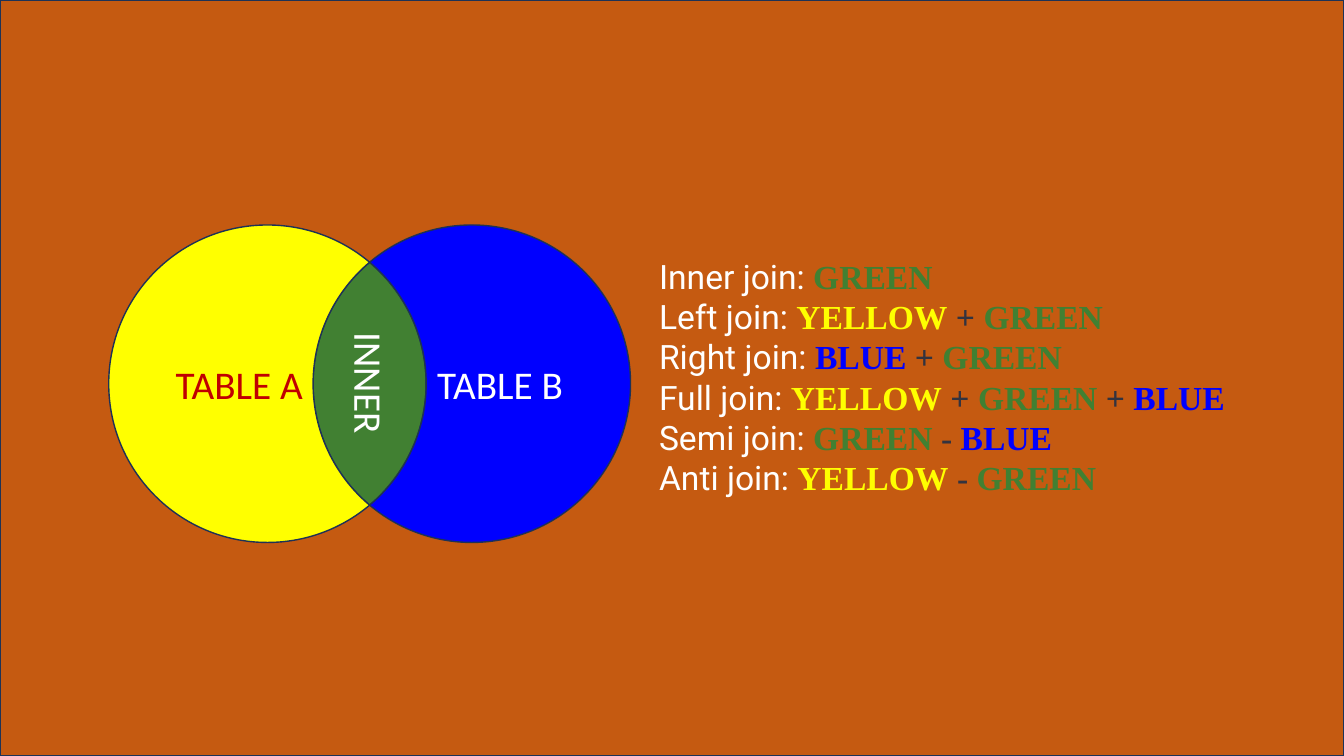
import math

import lxml.etree
import pptx
import pptx.dml.color
import pptx.enum.shapes
import pptx.enum.text
import pptx.oxml.ns
import pptx.util
from pptx.util import Cm

COLORS = {
    "backdrop": "C55A11",
    "outline": "1E3256",
    "sign": "33333F",
    "label": "FFFFFF",
    "table a": "C00000",
    "YELLOW": "FFFF00",
    "GREEN": "418032",
    "BLUE": "0000FF",
}
JOINS = [
    ("Inner join: ", "GREEN"),
    ("Left join: ", "YELLOW + GREEN"),
    ("Right join: ", "BLUE + GREEN"),
    ("Full join: ", "YELLOW + GREEN + BLUE"),
    ("Semi join: ", "GREEN - BLUE"),
    ("Anti join: ", "YELLOW - GREEN"),
]


def color(name):
    return pptx.dml.color.RGBColor.from_string(COLORS[name])


def style_shape(shape, fill):
    shape.shadow.inherit = False
    shape.fill.solid()
    shape.fill.fore_color.rgb = color(fill)
    shape.line.color.rgb = color("outline")
    shape.line.width = pptx.util.Pt(1)


def set_font(font, name, size, tint, bold=False):
    font.name = name
    font.size = pptx.util.Pt(size)
    font.bold = bold
    font.color.rgb = color(tint)


def add_backdrop(page, width, height):
    backdrop = page.shapes.add_shape(
        pptx.enum.shapes.MSO_SHAPE.RECTANGLE, 0, 0, width, height)
    style_shape(backdrop, "backdrop")


def arc(center, radius, start, end):
    """Bezier curves (two handles and an end, in cm) for an arc, split at quarter turns."""
    quarters = [angle for angle in range(0, 540, 90) if min(start, end) < angle < max(start, end)]
    stops = sorted([start, *quarters, end], reverse=end < start)
    curves = []
    for first, last in zip(stops, stops[1:]):
        a, b = math.radians(first), math.radians(last)
        reach = 4 / 3 * math.tan((b - a) / 4)
        points = [
            (math.cos(a) - reach * math.sin(a), math.sin(a) + reach * math.cos(a)),
            (math.cos(b) + reach * math.sin(b), math.sin(b) - reach * math.cos(b)),
            (math.cos(b), math.sin(b)),
        ]
        curves.append([(Cm(center[0] + radius * x), Cm(center[1] + radius * y))
                       for x, y in points])
    return curves


def add_region(page, curves, fill):
    """Closed outline whose straight segments are turned into the given curves."""
    ends = [curve[-1] for curve in curves]
    builder = page.shapes.build_freeform(*ends[-1])
    builder.add_line_segments(ends, close=True)
    region = builder.convert_to_shape()
    qn = pptx.oxml.ns.qn
    segments = list(region.element.iter(qn("a:lnTo")))
    for segment, handles in zip(segments, curves):
        segment.tag = qn("a:cubicBezTo")
        for position, (x, y) in enumerate(handles[:2]):
            handle = lxml.etree.Element(
                qn("a:pt"), x=str(x - region.left), y=str(y - region.top))
            segment.insert(position, handle)
    style_shape(region, fill)
    return region


def add_region_label(region, text, tint):
    frame = region.text_frame
    frame.word_wrap = True
    frame.vertical_anchor = pptx.enum.text.MSO_ANCHOR.MIDDLE
    para = frame.paragraphs[0]
    para.text = text
    para.alignment = pptx.enum.text.PP_ALIGN.CENTER
    set_font(para.font, "Calibri", 28, tint)


def add_text_box(page, left, top, width, height):
    box = page.shapes.add_textbox(Cm(left), Cm(top), Cm(width), Cm(height))
    box.text_frame.word_wrap = False
    box.text_frame.auto_size = pptx.enum.text.MSO_AUTO_SIZE.SHAPE_TO_FIT_TEXT
    return box


def add_venn(page, left, top, width, height):
    """Two overlapping circles, split into two crescents and a lens."""
    radius = height / 2
    middle = top + radius
    center_a = (left + radius, middle)
    center_b = (left + width - radius, middle)
    half = math.degrees(math.acos((center_b[0] - center_a[0]) / height))

    lens = arc(center_a, radius, -half, half) + arc(center_b, radius, 180 - half, 180 + half)
    crescent_a = (arc(center_a, radius, half, 360 - half)
                  + arc(center_b, radius, 180 + half, 180 - half))
    crescent_b = (arc(center_b, radius, 180 + half, 540 - half)
                  + arc(center_a, radius, half, -half))

    add_region(page, lens, "GREEN")
    add_region_label(add_region(page, crescent_a, "YELLOW"), "TABLE A", "table a")
    add_region_label(add_region(page, crescent_b, "BLUE"), "TABLE B", "label")

    label_width, label_height = 3.07, 1.45
    inner = add_text_box(page, left + (width - label_width) / 2,
                         middle - label_height / 2, label_width, label_height)
    inner.rotation = 90
    para = inner.text_frame.paragraphs[0]
    para.text = "INNER"
    set_font(para.font, "Calibri", 28, "label")


def add_join_list(page, left, top, width, height):
    frame = add_text_box(page, left, top, width, height).text_frame
    for index, (join, formula) in enumerate(JOINS):
        para = frame.add_paragraph() if index else frame.paragraphs[0]
        span = para.add_run()
        span.text = join
        set_font(span.font, "Roboto", 24, "label")
        for word in formula.split():
            is_sign = word in "+-"
            span = para.add_run()
            span.text = f" {word} " if is_sign else word
            set_font(span.font, "Times New Roman", 24, "sign" if is_sign else word, True)


def main():
    deck = pptx.Presentation()
    deck.slide_width, deck.slide_height = Cm(33.87), Cm(19.05)
    page = deck.slides.add_slide(deck.slide_layouts[6])
    add_backdrop(page, deck.slide_width, deck.slide_height)
    add_join_list(page, 16.36, 6.32, 15.52, 6.4)
    add_venn(page, 2.74, 5.67, 13.15, 8)
    deck.save("out.pptx")


if __name__ == "__main__":
    main()
